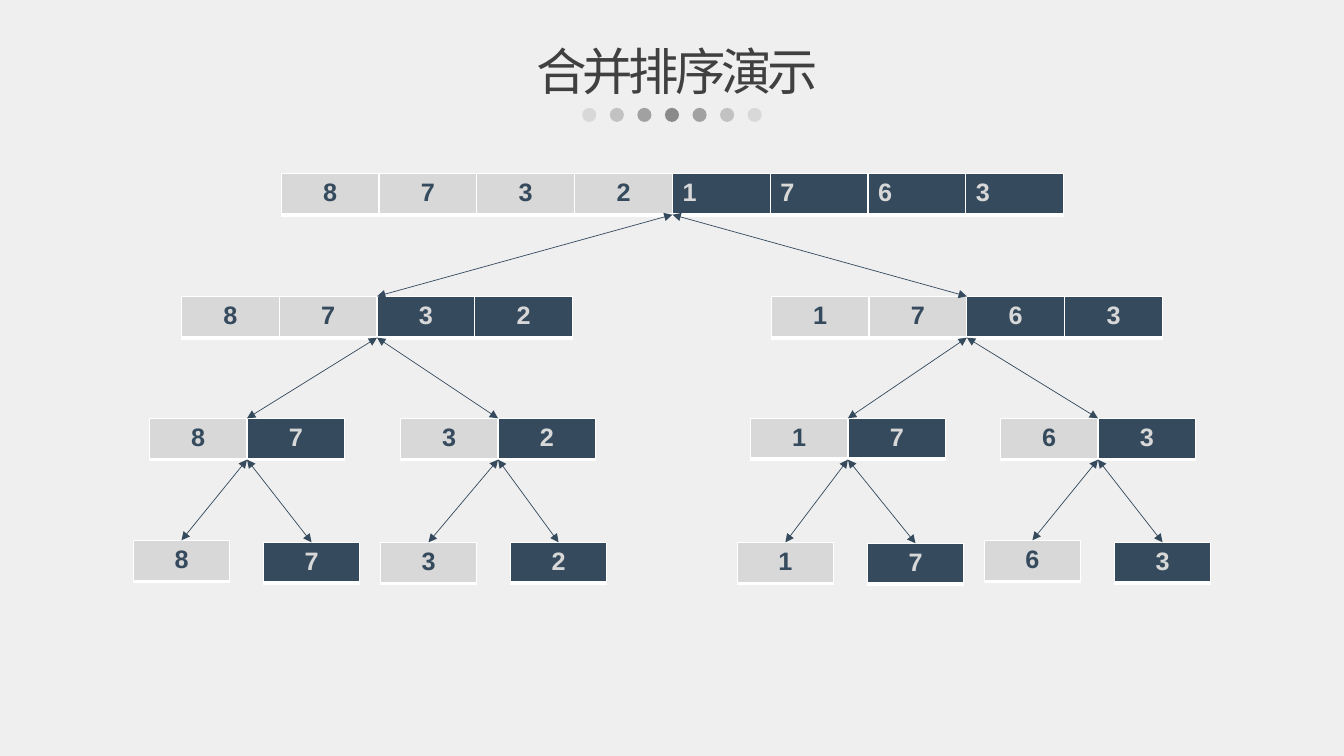
from lxml import etree
from pptx import Presentation
from pptx.dml.color import RGBColor
from pptx.enum.shapes import MSO_CONNECTOR, MSO_SHAPE
from pptx.enum.text import PP_ALIGN
from pptx.oxml.ns import qn
from pptx.util import Inches, Pt

LEFT, CENTER = PP_ALIGN.LEFT, PP_ALIGN.CENTER
STRAIGHT, OVAL = MSO_CONNECTOR.STRAIGHT, MSO_SHAPE.OVAL
WIDTH, HEIGHT = 13.33, 7.5
CELL, LEAF, ROW = 0.97, 0.95, 0.41
NAVY, GREY, PAPER, WHITE = "354A5D", "D8D8D8", "EFEFEF", "FFFFFF"
TITLE_COLOR, DOT_COLOR = "404040", "808080"
TITLE, TITLE_FONT, DIGIT_FONT = "合并排序演示", "Noto Sans CJK JP", "Arial"

DOT_ALPHAS = [20, 40, 70, 90, 70, 40, 20]
DOT_SIZE, DOT_TOP, DOT_STEP = 0.14, 1.07, 1.64 / 6
BORDERS = {"a:lnL": 1, "a:lnR": 1, "a:lnT": 1, "a:lnB": 3}

# centre, top, row height, light digits, dark digits
NODES = [
    (6.67, 1.72, ROW, "8732", "1763"),
    (3.74, 2.94, ROW, "87", "32"),
    (9.59, 2.94, ROW, "17", "63"),
    (2.45, 4.15, ROW, "8", "7"),
    (4.94, 4.15, ROW, "3", "2"),
    (8.41, 4.15, 0.31, "1", "7"),
    (10.89, 4.15, ROW, "6", "3"),
    (1.8, 5.36, ROW, "8", ""),
    (3.09, 5.38, 0.38, "", "7"),
    (4.25, 5.38, ROW, "3", ""),
    (5.54, 5.38, 0.38, "", "2"),
    (7.79, 5.38, ROW, "1", ""),
    (9.08, 5.39, 0.38, "", "7"),
    (10.24, 5.36, ROW, "6", ""),
    (11.53, 5.38, 0.38, "", "3"),
]


def rgb(color):
    return RGBColor.from_string(color)


def add_run(p, text, font, size, color, bold=False):
    r = p.add_run()
    r.text = text
    r.font.name, r.font.size, r.font.bold = font, Pt(size), bold
    r.font.color.rgb = rgb(color)
    return r


def add_border(cell, side, points):
    ln = etree.SubElement(cell._tc.get_or_add_tcPr(), qn(side), w=str(Pt(points)))
    fill = etree.SubElement(ln, qn("a:solidFill"))
    etree.SubElement(fill, qn("a:srgbClr"), val=WHITE)


def add_array(slide, left, top, height, light, dark, width, align):
    digits = light + dark
    frame = slide.shapes.add_table(1, len(digits), Inches(left), Inches(top),
                                   Inches(width * len(digits)), Inches(height))
    table = frame.table
    table.first_row = table.horz_banding = False
    for i, digit in enumerate(digits):
        table.columns[i].width = Inches(width)
        cell = table.cell(0, i)
        for side, points in BORDERS.items():
            add_border(cell, side, points)
        back, ink = (GREY, NAVY) if i < len(light) else (NAVY, GREY)
        cell.fill.solid()
        cell.fill.fore_color.rgb = rgb(back)
        p = cell.text_frame.paragraphs[0]
        p.alignment = align
        add_run(p, digit, DIGIT_FONT, 18, ink, True)


def add_arrow(slide, x1, y1, x2, y2):
    s = slide.shapes.add_connector(STRAIGHT, Inches(x1), Inches(y1), Inches(x2), Inches(y2))
    s.line.color.rgb = rgb(NAVY)
    s.line.width = Pt(0.5)
    ln = s.line._get_or_add_ln()
    for end in ("a:headEnd", "a:tailEnd"):
        etree.SubElement(ln, qn(end), type="triangle")
    etree.SubElement(s._element.spPr, qn("a:effectLst"))


def add_title(slide):
    sp = slide.shapes.add_textbox(Inches(3.79), Inches(0.35), Inches(5.85), Inches(0.71))
    tf = sp.text_frame
    tf.word_wrap = True
    p = tf.paragraphs[0]
    p.alignment = CENTER
    r = add_run(p, TITLE, TITLE_FONT, 36, TITLE_COLOR)
    rPr = r._r.get_or_add_rPr()
    rPr.set("spc", "-300")
    etree.SubElement(rPr, qn("a:ea"), typeface=TITLE_FONT)


def add_dots(slide):
    for i, alpha in enumerate(DOT_ALPHAS):
        left = WIDTH / 2 + (i - len(DOT_ALPHAS) // 2) * DOT_STEP - DOT_SIZE / 2
        sp = slide.shapes.add_shape(OVAL, Inches(left), Inches(DOT_TOP),
                                    Inches(DOT_SIZE), Inches(DOT_SIZE))
        sp.shadow.inherit = False
        sp.line.fill.background()
        sp.fill.solid()
        sp.fill.fore_color.rgb = rgb(DOT_COLOR)
        color = sp._element.spPr.find(qn("a:solidFill"))[0]
        etree.SubElement(color, qn("a:alpha"), val=str(alpha * 1000))


def add_tree(slide):
    for i, (center, top, height, light, dark) in enumerate(NODES):
        count = len(light + dark)
        width = LEAF if count == 1 else CELL
        left = center - width * count / 2
        if i == 0:
            add_array(slide, left, top, height, light, "", width, CENTER)
            add_array(slide, center, top, height, "", dark, width, LEFT)
        else:
            add_array(slide, left, top, height, light, dark, width, CENTER)
    for i, (center, top, *_) in enumerate(NODES[1:], 1):
        parent_center, parent_top, *_ = NODES[(i - 1) // 2]
        add_arrow(slide, parent_center, parent_top + ROW, center, top)


def main():
    prs = Presentation()
    prs.slide_width, prs.slide_height = Inches(WIDTH), Inches(HEIGHT)
    slide = prs.slides.add_slide(prs.slide_layouts[6])
    slide.background.fill.solid()
    slide.background.fill.fore_color.rgb = rgb(PAPER)
    add_dots(slide)
    add_title(slide)
    add_tree(slide)
    prs.save("out.pptx")


if __name__ == "__main__":
    main()
